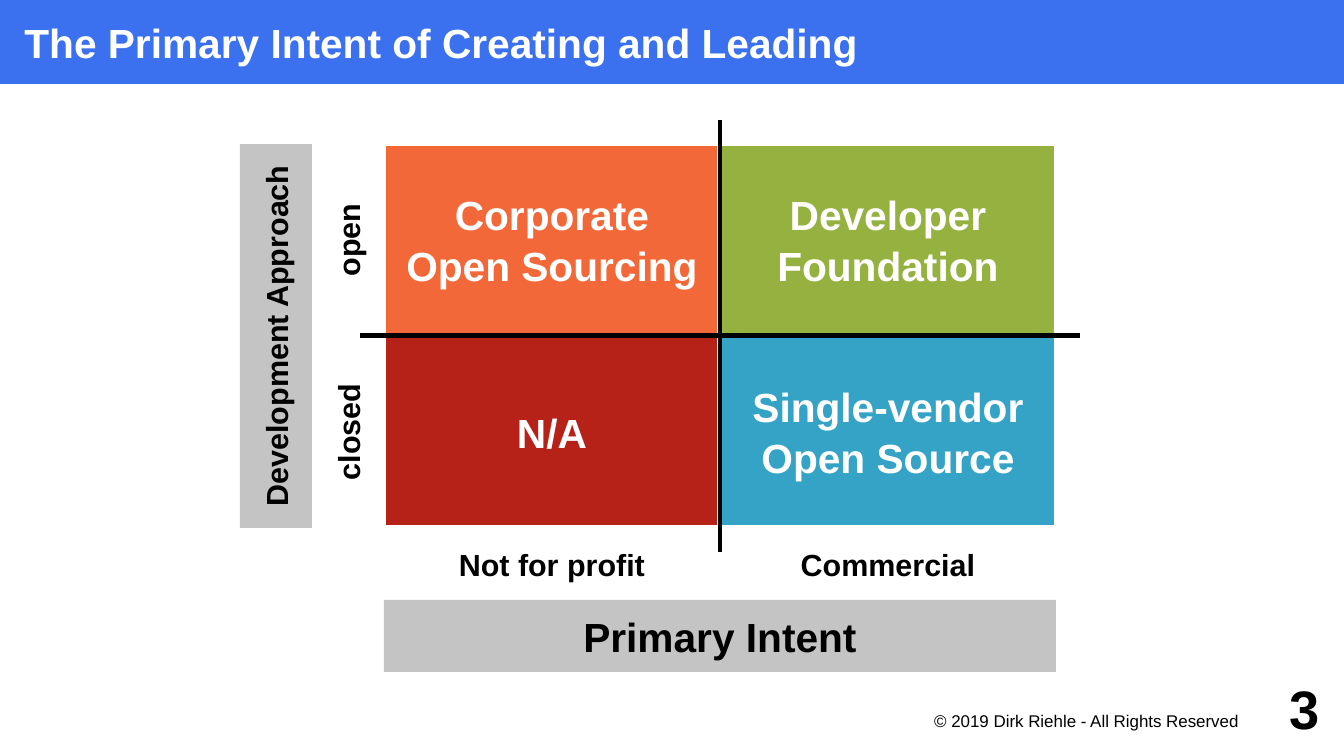
from pptx import Presentation
from pptx.dml.color import RGBColor
from pptx.enum.shapes import MSO_CONNECTOR, MSO_SHAPE
from pptx.enum.text import MSO_ANCHOR, PP_ALIGN
from pptx.oxml.ns import qn
from pptx.util import Inches, Pt
from lxml.etree import SubElement

COLORS = {
    "blue": "3B70EE", "orange": "F36838", "green": "95B241", "red": "B62118",
    "cyan": "34A3C5", "grey": "C4C4C4", "white": "FFFFFF", "black": "000000",
}
LEFT, CENTER, RIGHT = PP_ALIGN.LEFT, PP_ALIGN.CENTER, PP_ALIGN.RIGHT

prs = Presentation()
prs.slide_width, prs.slide_height = Inches(11.02), Inches(6.2)
U = prs.slide_width / 56
s = prs.slides.add_slide(prs.slide_layouts[6])


def rgb(name):
    return RGBColor.from_string(COLORS[name])


def add_box(col, row, cols, rows, lines, size, fill=None, color="black", align=CENTER,
            bold=True, inset=(0, 0, 0, 0), border=None, rotation=0, wrap=True):
    at = [round(n * U) for n in (col, row, cols, rows)]
    if fill:
        sp = s.shapes.add_shape(MSO_SHAPE.RECTANGLE, *at)
        sp.shadow.inherit = False
        sp.fill.solid()
        sp.fill.fore_color.rgb = rgb(fill)
        if border:
            sp.line.color.rgb = rgb(border)
            sp.line.width = Pt(2.83)
        else:
            sp.line.fill.background()
    else:
        sp = s.shapes.add_textbox(*at)
    sp.rotation = rotation
    tf = sp.text_frame
    tf.word_wrap = wrap
    tf.vertical_anchor = MSO_ANCHOR.MIDDLE
    tf.margin_left, tf.margin_top, tf.margin_right, tf.margin_bottom = map(Inches, inset)
    for i, line in enumerate(lines):
        p = tf.add_paragraph() if i else tf.paragraphs[0]
        p.alignment = align
        if i:
            p.space_before = Pt(1.4)
        r = p.add_run()
        r.text = line
        r.font.name, r.font.size, r.font.bold = "Arial", Pt(size), bold
        r.font.color.rgb = rgb(color)
    return sp


def add_axis(col1, row1, col2, row2):
    ln = s.shapes.add_connector(MSO_CONNECTOR.STRAIGHT,
                                *[round(n * U) for n in (col1, row1, col2, row2)])
    ln.line.color.rgb = rgb("black")
    ln.line.width = Pt(2.83)
    SubElement(ln._element.spPr, qn("a:effectLst"))


add_box(0, 0, 56, 3.5, ["The Primary Intent of Creating and Leading"], 24,
        "blue", "white", LEFT, inset=(0.2, 0, 0, 0))

X, Y, W, H, BAR = 16, 6, 14, 8, 3
quadrants = [
    (0, 0, "orange", ["Corporate", "Open Sourcing"]),
    (1, 0, "green", ["Developer", "Foundation"]),
    (0, 1, "red", ["N/A"]),
    (1, 1, "cyan", ["Single-vendor", "Open Source"]),
]
for i, j, fill, lines in quadrants:
    add_box(X + i * W, Y + j * H, W, H, lines, 24, fill, "white",
            inset=(0.12, 0.07, 0.12, 0.07), border="white", wrap=False)

label_inset = (0.08,) * 4
for i, label in enumerate(["Not for profit", "Commercial"]):
    add_box(X + i * W, Y + 2 * H, W, BAR, [label], 18, inset=label_inset)
for j, label in enumerate(["open", "closed"]):
    add_box(14.5 - H / 2, Y + (j + 0.5) * H - BAR / 2, H, BAR, [label], 18,
            inset=label_inset, rotation=270)

add_box(X, Y + 2 * H + BAR, 2 * W, BAR, ["Primary Intent"], 24, "grey")
add_box(11.5 - H, Y + H - BAR / 2, 2 * H, BAR, ["Development Approach"], 18,
        "grey", rotation=270)

add_axis(X - 1, Y + H, X + 2 * W + 1, Y + H)
add_axis(X + W, Y + 2 * H + 1, X + W, Y - 1)

sp = add_box(36, 29.5, 16, 1.5, ["© 2019 Dirk Riehle - All Rights Reserved"], 10,
             align=RIGHT, bold=False, inset=(0, 0.02, 0.08, 0))
sp.text_frame.vertical_anchor = MSO_ANCHOR.TOP
add_box(51, 28, 4, 3, ["3"], 32, align=RIGHT)

prs.save("out.pptx")
